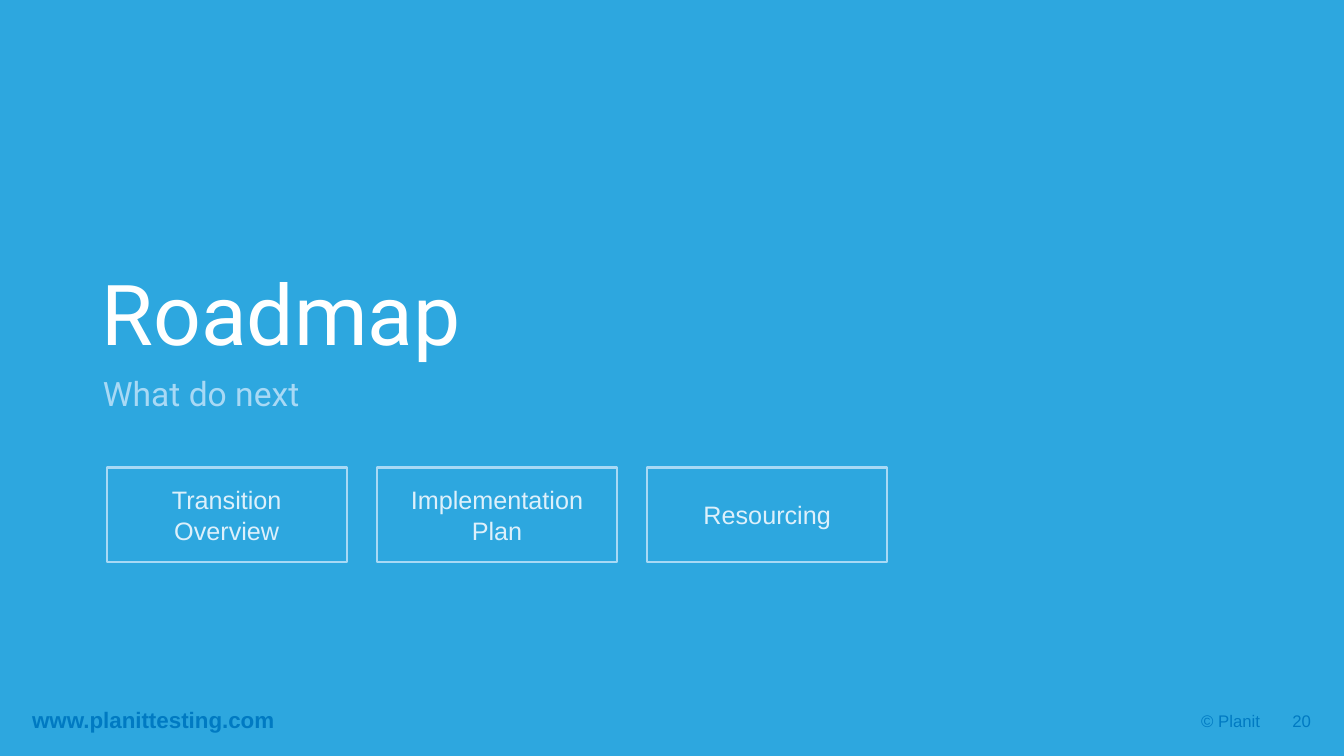
"""Build the Roadmap section slide."""
import pptx
import pptx.util
import pptx.dml.color
import pptx.enum.text
import pptx.enum.shapes

Cm, Pt = pptx.util.Cm, pptx.util.Pt
ALIGN = pptx.enum.text.PP_ALIGN
ANCHOR = pptx.enum.text.MSO_ANCHOR


def color(code):
    """Turn a hex string into a colour."""
    return pptx.dml.color.RGBColor.from_string(code)


def write(shape, text, hue, form, align=ALIGN.LEFT, anchor=ANCHOR.MIDDLE):
    """Put one formatted paragraph into a shape."""
    frame = shape.text_frame
    frame.word_wrap = True
    frame.auto_size = pptx.enum.text.MSO_AUTO_SIZE.NONE
    frame.vertical_anchor = anchor
    par = frame.paragraphs[0]
    par.alignment = align
    par.space_before = Pt(0)
    run = par.add_run()
    run.text = text
    run.font.color.rgb = color(hue)
    for key, value in form.items():
        setattr(run.font, key, value)
    return par


deck = pptx.Presentation()
deck.slide_width, deck.slide_height = Cm(33.87), Cm(19.05)
slide = deck.slides.add_slide(deck.slide_layouts[2])
slide.background.fill.solid()
slide.background.fill.fore_color.rgb = color("2DA7DF")

title, body = slide.placeholders
heads = [
    (title, (2.31, 6.71, 29.21, 2.57), "Roadmap", "FFFFFF", 60, ALIGN.LEFT, ANCHOR.BOTTOM),
    (body, (2.34, 9.27, 29.21, 4.17), "What do next", "A8D9F5", 24, ALIGN.JUSTIFY, ANCHOR.TOP),
]
for shape, place, text, hue, size, align, anchor in heads:
    shape.left, shape.top, shape.width, shape.height = map(Cm, place)
    form = {"name": "Roboto", "size": Pt(size), "bold": False}
    par = write(shape, text, hue, form, align, anchor)
    par.runs[0].font._element.set("cap", "none")
title.text_frame.paragraphs[0].line_spacing = 0.9

feet = [
    (0.56, 15.93, 0.94, "www.planittesting.com", 16, True, ALIGN.LEFT),
    (30.02, 3.05, 1.02, "© Planit", 12, False, ALIGN.LEFT),
    (32.05, 1.24, 1.02, "20", 12, False, ALIGN.RIGHT),
]
for left, width, height, text, size, bold, align in feet:
    box = slide.shapes.add_textbox(Cm(left), Cm(17.65), Cm(width), Cm(height))
    form = {"name": "Arial", "size": Pt(size), "bold": bold}
    write(box, text, "007AC2", form, align)

form = {"name": "Arial", "size": Pt(18)}
for i, text in enumerate(["Transition Overview", "Implementation Plan", "Resourcing"]):
    card = slide.shapes.add_shape(
        pptx.enum.shapes.MSO_SHAPE.RECTANGLE,
        Cm(2.69 + i * 6.81), Cm(11.78), Cm(6.05), Cm(2.39))
    card.shadow.inherit = False
    card.fill.background()
    card.line.color.rgb = color("A8D9F5")
    card.line.width = Pt(1.5)
    card.text_frame.margin_left = card.text_frame.margin_right = Cm(0.3)
    write(card, text, "DDF0FB", form, ALIGN.CENTER)

deck.save("out.pptx")
